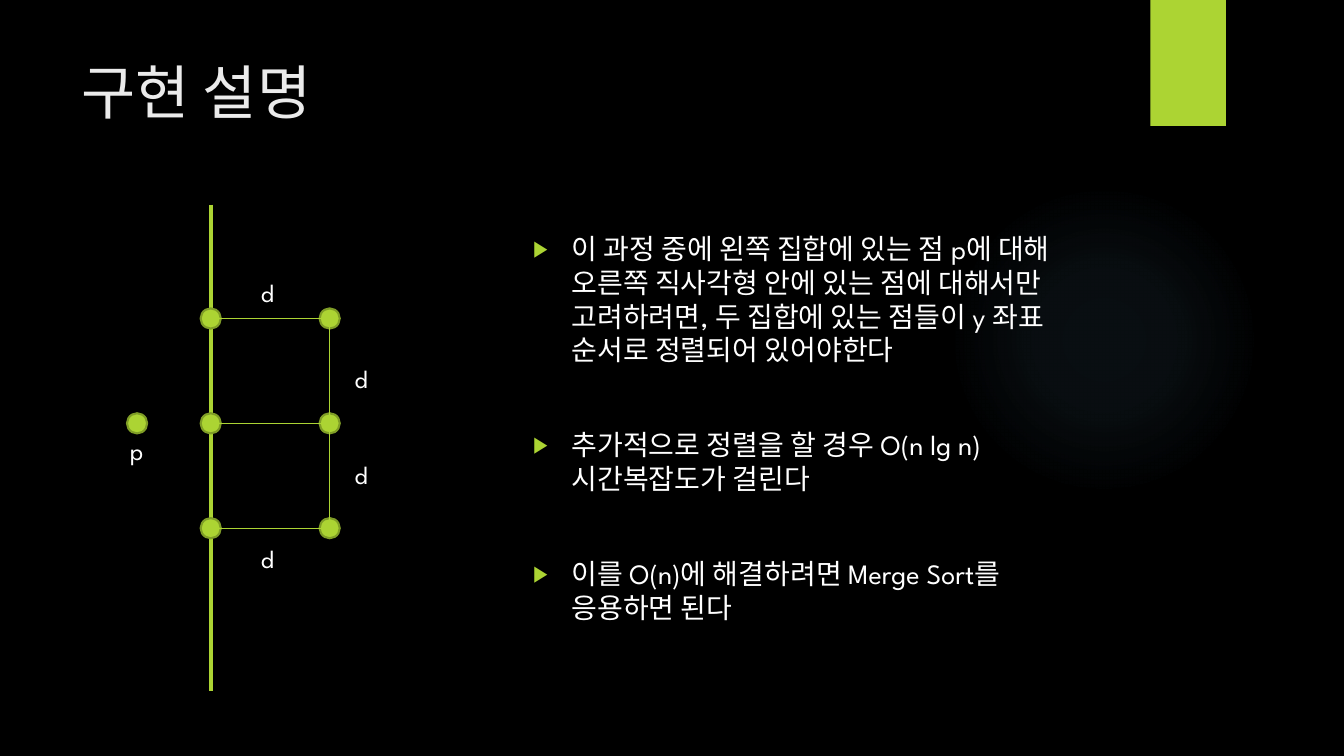
"""Build the slide on sorting points by y for the closest-pair merge step."""
from pptx import Presentation
from pptx.dml.color import RGBColor
from pptx.enum.shapes import MSO_CONNECTOR, MSO_SHAPE
from pptx.enum.text import MSO_ANCHOR
from pptx.oxml import parse_xml
from pptx.oxml.ns import nsdecls
from pptx.oxml.xmlchemy import OxmlElement
from pptx.util import Inches, Pt

OVAL, RECT = MSO_SHAPE.OVAL, MSO_SHAPE.RECTANGLE
STRAIGHT = MSO_CONNECTOR.STRAIGHT
TOP = MSO_ANCHOR.TOP

TITLE = "구현 설명"
POINTS = [
    "이 과정 중에 왼쪽 집합에 있는 점 p에 대해 오른쪽 직사각형 안에 있는 점에 대해서만 "
    "고려하려면, 두 집합에 있는 점들이 y 좌표 순서로 정렬되어 있어야한다",
    "추가적으로 정렬을 할 경우 O(n lg n) 시간복잡도가 걸린다",
    "이를 O(n)에 해결하려면 Merge Sort를 응용하면 된다",
]
LABELS = [
    ("p", 1.19, 4.27),
    ("d", 3.42, 4.51),
    ("d", 3.42, 3.56),
    ("d", 2.49, 5.34),
    ("d", 2.49, 2.7),
]
COLORS = {
    "background": "000000",
    "title": "EBEBEB",
    "text": "FFFFFF",
    "accent": "ACD433",
    "dot_edge": "7F9D26",
    "glow": "7AC4F0",
}
FONT = "League Spartan"
FORMATS = {
    "title": {"name": FONT, "size": Pt(42)},
    "body": {"name": FONT, "size": Pt(20)},
    "label": {"name": FONT, "size": Pt(18)},
}
GLOW_STOPS = [(0, 7), (36, 6), (69, 0)]

DIVIDER_X, DIVIDER_TOP, DIVIDER_BOTTOM = 2.09, 2.03, 6.86
RIGHT_X = 3.27
ROW_TOP, ROW_STEP = 3.16, 1.04
ROWS = [ROW_TOP + ROW_STEP * row for row in range(3)]
P_CENTER = (1.36, ROWS[1])
DOT_SIZE = 0.2
INDENT = 0.38


def rgb(name):
    return RGBColor.from_string(COLORS[name])


def add_filled(slide, kind, box, fill=None):
    shape = slide.shapes.add_shape(kind, *map(Inches, box))
    shape.shadow.inherit = False
    shape.line.fill.background()
    if fill:
        shape.fill.solid()
        shape.fill.fore_color.rgb = rgb(fill)
    return shape


def add_glow(slide):
    glow = add_filled(slide, OVAL, (9.41, 1.83, 3.08, 3.08))
    stops = "".join(
        f'<a:gs pos="{pos * 1000}"><a:srgbClr val="{COLORS["glow"]}">'
        f'<a:alpha val="{alpha * 1000}"/></a:srgbClr></a:gs>'
        for pos, alpha in GLOW_STOPS
    )
    gradient = parse_xml(
        f'<a:gradFill {nsdecls("a")} rotWithShape="1"><a:gsLst>{stops}</a:gsLst>'
        '<a:path path="circle"><a:fillToRect l="50000" t="50000" r="50000" b="50000"/>'
        "</a:path></a:gradFill>"
    )
    glow.element.spPr.prstGeom.addnext(gradient)


def add_line(slide, start, end, width):
    line = slide.shapes.add_connector(STRAIGHT, *map(Inches, start + end))
    line.line.color.rgb = rgb("accent")
    line.line.width = Pt(width)
    line.element.spPr.append(OxmlElement("a:effectLst"))


def add_dot(slide, center):
    left, top = (value - DOT_SIZE / 2 for value in center)
    dot = add_filled(slide, OVAL, (left, top, DOT_SIZE, DOT_SIZE), "accent")
    dot.line.color.rgb = rgb("dot_edge")
    dot.line.width = Pt(1.5)


def add_bullet(paragraph):
    properties = paragraph._p.get_or_add_pPr()
    properties.set("marL", str(Inches(INDENT)))
    properties.set("indent", str(-Inches(INDENT)))
    for xml in (
        f'<a:buClr {nsdecls("a")}><a:srgbClr val="{COLORS["accent"]}"/></a:buClr>',
        f'<a:buSzPct {nsdecls("a")} val="80000"/>',
        f'<a:buFont {nsdecls("a")} typeface="Arial"/>',
        f'<a:buChar {nsdecls("a")} char="▶"/>',
    ):
        properties.append(parse_xml(xml))


def add_text(slide, box, lines, style, color, wrap=True, bullets=False, gap=0):
    frame = slide.shapes.add_textbox(*map(Inches, box)).text_frame
    frame.word_wrap = wrap
    frame.vertical_anchor = TOP
    for index, line in enumerate(lines):
        paragraph = frame.add_paragraph() if index else frame.paragraphs[0]
        if index:
            paragraph.space_before = Pt(gap)
        if bullets:
            add_bullet(paragraph)
        run = paragraph.add_run()
        run.text = line
        for attribute, value in FORMATS[style].items():
            setattr(run.font, attribute, value)
        run.font.color.rgb = rgb(color)


def add_diagram(slide):
    add_line(slide, (DIVIDER_X, DIVIDER_TOP), (DIVIDER_X, DIVIDER_BOTTOM), 3)
    for center in [P_CENTER] + [(x, y) for y in ROWS for x in (DIVIDER_X, RIGHT_X)]:
        add_dot(slide, center)
    for y in ROWS:
        add_line(slide, (DIVIDER_X, y), (RIGHT_X, y), 0.75)
    add_line(slide, (RIGHT_X, ROWS[0]), (RIGHT_X, ROWS[-1]), 0.75)
    for label, left, top in LABELS:
        add_text(slide, (left, top, 0.3, 0.4), [label], "label", "text", wrap=False)


def main():
    deck = Presentation()
    deck.slide_width, deck.slide_height = Inches(13.33), Inches(7.5)
    slide = deck.slides.add_slide(deck.slide_layouts[6])
    slide.background.fill.solid()
    slide.background.fill.fore_color.rgb = rgb("background")
    add_glow(slide)
    add_filled(slide, RECT, (11.41, 0, 0.75, 1.25), "accent")
    add_text(slide, (0.71, 0.5, 10.29, 1.53), [TITLE], "title", "title")
    add_diagram(slide)
    add_text(slide, (5.19, 2.25, 5.8, 4.59), POINTS, "body", "text", bullets=True, gap=44)
    deck.save("out.pptx")


if __name__ == "__main__":
    main()
